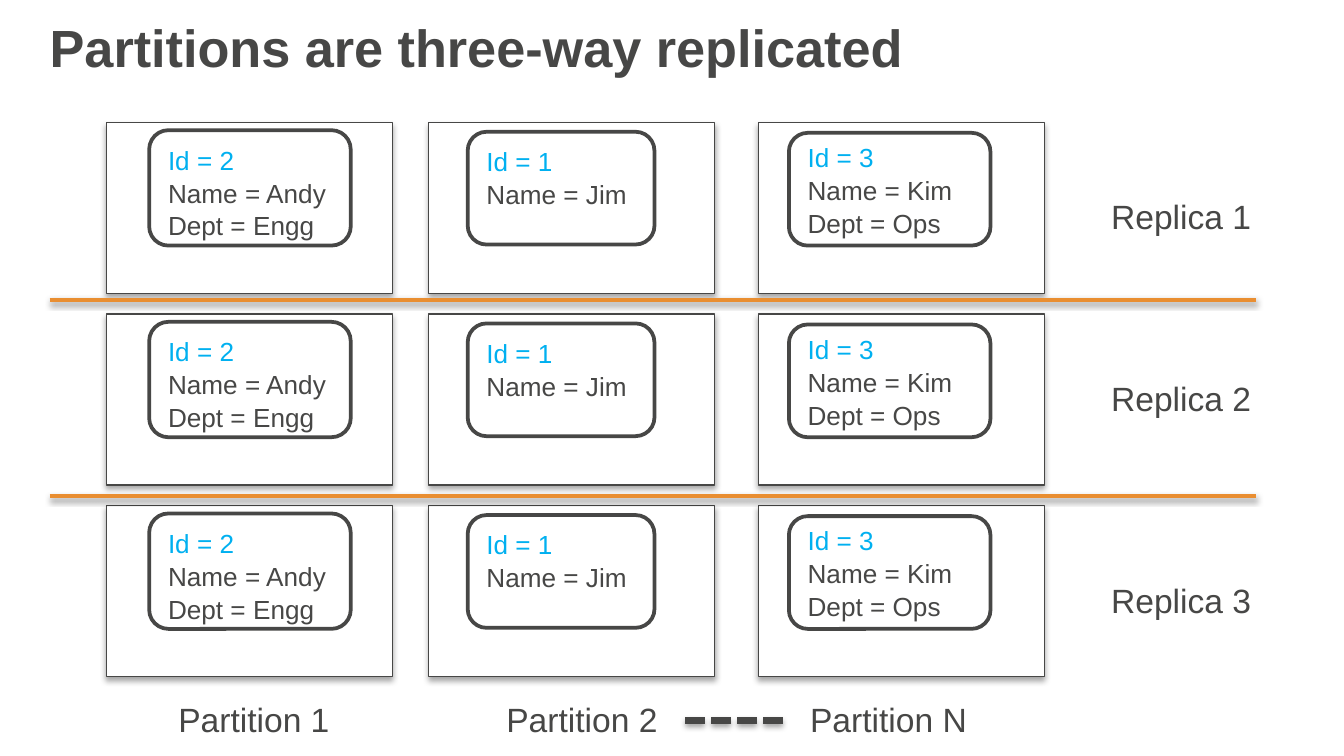
from dataclasses import dataclass

from lxml.etree import SubElement
from pptx import Presentation
from pptx.dml.color import RGBColor
from pptx.enum.dml import MSO_LINE_DASH_STYLE as Dash
from pptx.enum.shapes import MSO_CONNECTOR as Connector, MSO_SHAPE as Preset
from pptx.enum.text import MSO_ANCHOR as Anchor, MSO_AUTO_SIZE as AutoSize, PP_ALIGN as Align
from pptx.oxml.ns import qn
from pptx.util import Cm, Pt


@dataclass(frozen=True)
class Theme:
    font: str = "Arial"
    ink: str = "474746"
    key: str = "00B0F0"
    divider: str = "E98E31"
    paper: str = "FFFFFF"
    shadow: str = "000000"
    title_size: int = 28
    label_size: int = 18
    record_size: int = 14


class Painter:
    def __init__(self, page, theme):
        self.page = page
        self.theme = theme

    def span(self, para, text, size, color, bold=False):
        span = para.add_run()
        span.text = text
        span.font.name = self.theme.font
        span.font.size = Pt(size)
        span.font.bold = bold
        span.font.color.rgb = RGBColor.from_string(color)

    def shadow(self, properties, opacity, distance):
        """Put a soft shadow straight below an element, replacing any inherited one."""
        effects = properties.find(qn("a:effectLst"))
        if effects is None:
            effects = SubElement(properties, qn("a:effectLst"))
        outer = SubElement(effects, qn("a:outerShdw"), blurRad=str(Pt(3.1)),
                           dist=str(Pt(distance)), dir="5400000", rotWithShape="0")
        color = SubElement(outer, qn("a:srgbClr"), val=self.theme.shadow)
        SubElement(color, qn("a:alpha"), val=str(opacity * 1000))

    def title(self, text):
        box = self.page.shapes.add_textbox(Cm(0.69), Cm(0.03), Cm(23.75), Cm(1.96))
        frame = box.text_frame
        frame.word_wrap = True
        frame.margin_top = Cm(0.25)
        self.span(frame.paragraphs[0], text, self.theme.title_size, self.theme.ink, bold=True)

    def label(self, text, left, top, width):
        box = self.page.shapes.add_textbox(Cm(left), Cm(top), Cm(width), Cm(1.02))
        box.text_frame.word_wrap = False
        box.text_frame.auto_size = AutoSize.SHAPE_TO_FIT_TEXT
        self.span(box.text_frame.paragraphs[0], text, self.theme.label_size, self.theme.ink)

    def outlined(self, group, preset, left, top, width, height, weight):
        shape = group.shapes.add_shape(preset, Cm(left), Cm(top), Cm(width), Cm(height))
        shape.shadow.inherit = False
        shape.fill.solid()
        shape.fill.fore_color.rgb = RGBColor.from_string(self.theme.paper)
        shape.line.color.rgb = RGBColor.from_string(self.theme.ink)
        shape.line.width = Pt(weight)
        return shape

    def partition(self, group, left, top):
        shape = self.outlined(group, Preset.RECTANGLE, left, top, 5.41, 3.23, 0.75)
        self.shadow(shape.element.spPr, opacity=35, distance=1.8)

    def record(self, group, left, top, width, height, lines, anchor):
        """Draw a rounded card whose first line, the key, is coloured."""
        shape = self.outlined(group, Preset.ROUNDED_RECTANGLE, left, top, width, height, 2)
        frame = shape.text_frame
        frame.word_wrap = True
        frame.vertical_anchor = anchor
        for index, line in enumerate(lines):
            para = frame.add_paragraph() if index else frame.paragraphs[0]
            para.alignment = Align.LEFT
            para.line_spacing = 1.05
            color = self.theme.ink if index else self.theme.key
            self.span(para, line, self.theme.record_size, color)

    def rule(self, left, right, y, color, weight, dash=None):
        line = self.page.shapes.add_connector(Connector.STRAIGHT, Cm(left), Cm(y), Cm(right), Cm(y))
        line.line.color.rgb = RGBColor.from_string(color)
        line.line.width = Pt(weight)
        if dash:
            line.line.dash_style = dash
        self.shadow(line.element.spPr, opacity=38, distance=1.6)


# Partition left; record left, offset from the row top, width, height, lines, anchor
COLUMNS = [
    (2.01, (2.82, 0.15, 3.81, 2.18, ["Id = 2", "Name = Andy", "Dept = Engg"], Anchor.TOP)),
    (8.1, (8.84, 0.18, 3.53, 2.13, ["Id = 1", "Name = Jim"], Anchor.TOP)),
    (14.33, (14.91, 0.2, 3.81, 2.13, ["Id = 3", "Name = Kim", "Dept = Ops"], Anchor.MIDDLE)),
]
FIRST_ROW, ROW_PITCH = 2.31, 3.62
REPLICA_LABEL_TOPS = [3.58, 7.01, 10.82]
PARTITION_LABELS = [("1", 3.12, 3.4), ("2", 9.32, 3.4), ("N", 15.06, 3.51)]
DIVIDERS = [5.66, 9.37]


def main():
    deck = Presentation()
    deck.slide_width, deck.slide_height = Cm(25.4), Cm(14.28)
    page = deck.slides.add_slide(deck.slide_layouts[6])
    theme = Theme()
    painter = Painter(page, theme)

    painter.title("Partitions are three-way replicated")
    for row, label_top in enumerate(REPLICA_LABEL_TOPS):
        top = FIRST_ROW + row * ROW_PITCH
        replica = page.shapes.add_group_shape()
        for left, (record_left, offset, *record) in COLUMNS:
            painter.partition(replica, left, top)
            painter.record(replica, record_left, top + offset, *record)
        painter.label(f"Replica {row + 1}", 20.75, label_top, 3.18)
    for y in DIVIDERS:
        painter.rule(0.94, 23.73, y, theme.divider, 2)
    for name, left, width in PARTITION_LABELS:
        painter.label(f"Partition {name}", left, 13.08, width)
    painter.rule(12.95, 14.91, 13.61, theme.ink, 3.5, Dash.SQUARE_DOT)

    deck.save("out.pptx")


if __name__ == "__main__":
    main()
